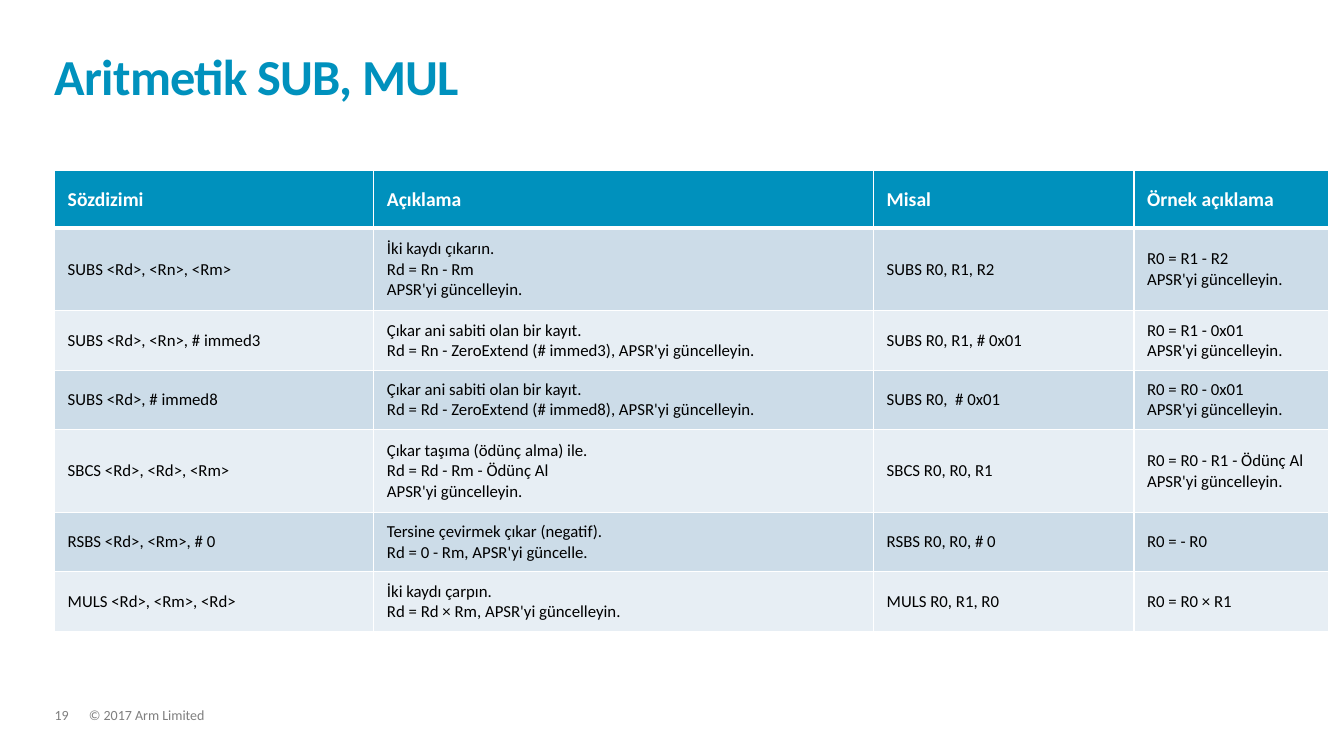
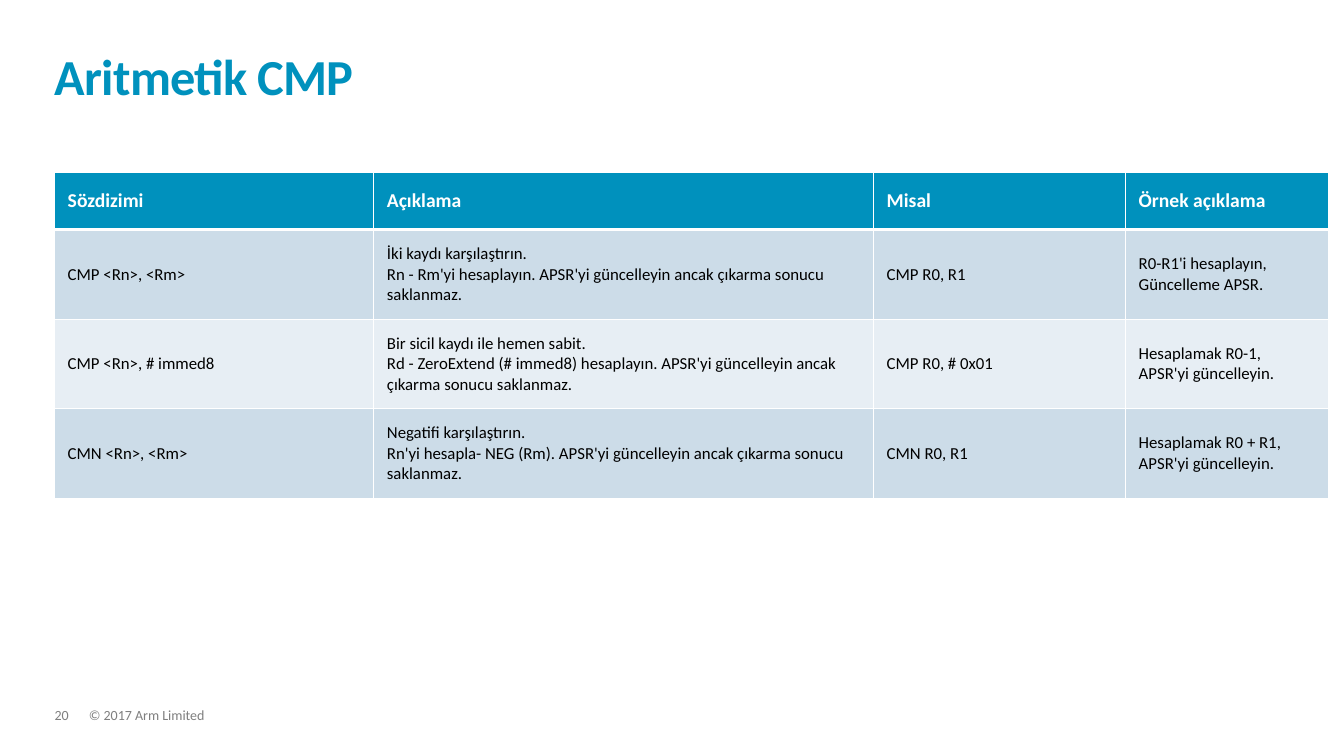
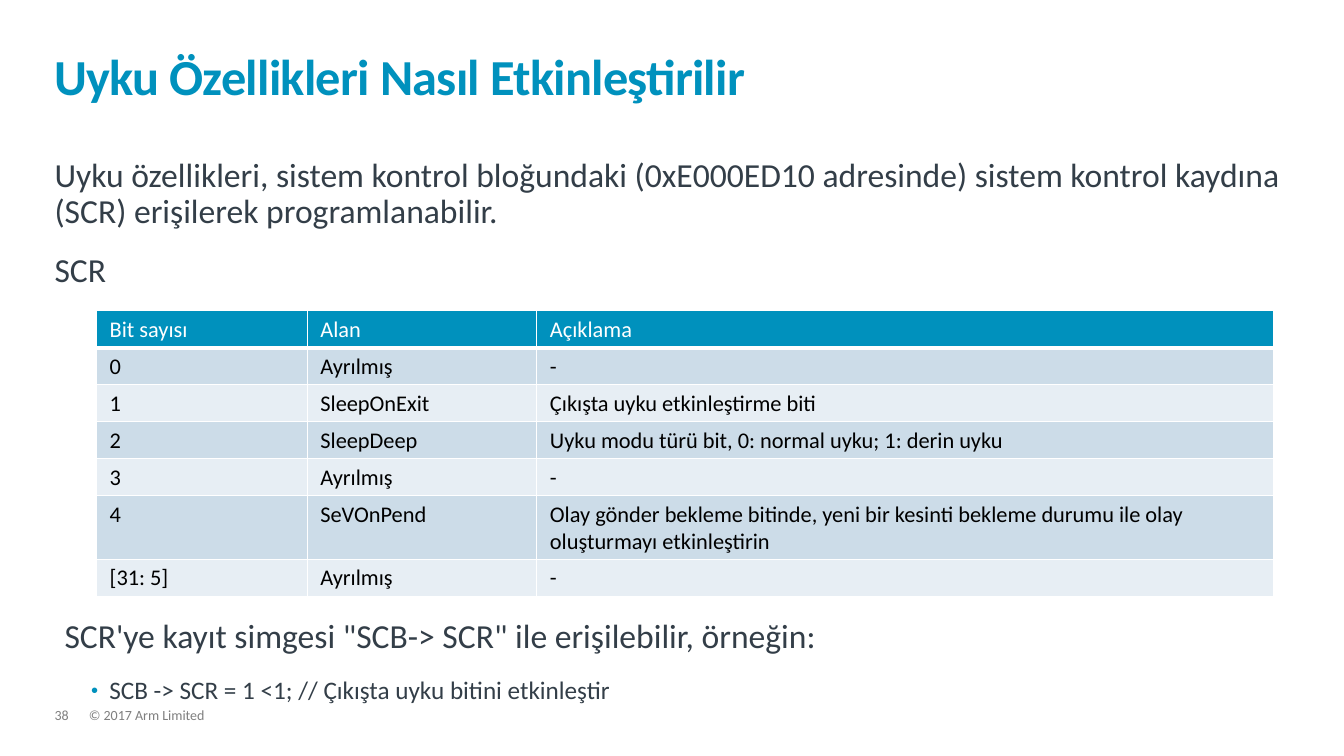
from lxml.etree import SubElement
from pptx import Presentation
from pptx.dml.color import RGBColor
from pptx.enum.text import MSO_ANCHOR
from pptx.oxml import parse_xml
from pptx.oxml.ns import nsdecls, qn
from pptx.util import Pt

# Shared look
COLORS = {"accent": "0091BD", "band": "CCDCE8", "light": "E7EEF4",
          "white": "FFFFFF", "black": "000000", "body": "333E48", "footer": "7F7F7F"}
LEFT, WIDTH = 39, 880.5
TITLE = {"size": 36, "bold": True, "color": "accent"}
BODY = {"size": 24, "color": "body"}
SUB = {"size": 18, "color": "body"}
FOOTER = {"size": 10, "color": "footer"}
SYNTAX_STYLE = {"head": {"size": 14, "bold": True, "color": "white"},
                "cell": {"size": 12, "bold": False, "color": "black"},
                "anchor": MSO_ANCHOR.MIDDLE}
FIELD_STYLE = {"head": {"size": 16, "bold": False, "color": "white"},
               "cell": {"size": 16, "bold": False, "color": "black"},
               "anchor": MSO_ANCHOR.TOP}
SYNTAX_HEAD = ["Sözdizimi", "Açıklama", "Misal", "Örnek açıklama"]

# Table contents: a line break starts a new paragraph
SUB_MUL = [
    SYNTAX_HEAD,
    ["SUBS <Rd>, <Rn>, <Rm>",
     "İki kaydı çıkarın.\nRd = Rn - Rm\nAPSR'yi güncelleyin.",
     "SUBS R0, R1, R2", "R0 = R1 - R2\nAPSR'yi güncelleyin."],
    ["SUBS <Rd>, <Rn>, # immed3",
     "Çıkar ani sabiti olan bir kayıt.\n"
     "Rd = Rn - ZeroExtend (# immed3), APSR'yi güncelleyin.",
     "SUBS R0, R1, # 0x01", "R0 = R1 - 0x01\nAPSR'yi güncelleyin."],
    ["SUBS <Rd>, # immed8",
     "Çıkar ani sabiti olan bir kayıt.\n"
     "Rd = Rd - ZeroExtend (# immed8), APSR'yi güncelleyin.",
     "SUBS R0,  # 0x01", "R0 = R0 - 0x01\nAPSR'yi güncelleyin."],
    ["SBCS <Rd>, <Rd>, <Rm>",
     "Çıkar taşıma (ödünç alma) ile.\nRd = Rd - Rm - Ödünç Al\nAPSR'yi güncelleyin.",
     "SBCS R0, R0, R1", "R0 = R0 - R1 - Ödünç Al\nAPSR'yi güncelleyin."],
    ["RSBS <Rd>, <Rm>, # 0",
     "Tersine çevirmek çıkar (negatif).\nRd = 0 - Rm, APSR'yi güncelle.",
     "RSBS R0, R0, # 0", "R0 = - R0"],
    ["MULS <Rd>, <Rm>, <Rd>",
     "İki kaydı çarpın.\nRd = Rd × Rm, APSR'yi güncelleyin.",
     "MULS R0, R1, R0", "R0 = R0 × R1"],
]
CMP = [
    SYNTAX_HEAD,
    ["CMP <Rn>, <Rm>",
     "İki kaydı karşılaştırın.\n"
     "Rn - Rm'yi hesaplayın. APSR'yi güncelleyin ancak çıkarma sonucu saklanmaz.",
     "CMP R0, R1", "R0-R1'i hesaplayın,\nGüncelleme APSR."],
    ["CMP <Rn>, # immed8",
     "Bir sicil kaydı ile hemen sabit.\nRd - ZeroExtend (# immed8) hesaplayın. "
     "APSR'yi güncelleyin ancak çıkarma sonucu saklanmaz.",
     "CMP R0, # 0x01", "Hesaplamak R0-1,\nAPSR'yi güncelleyin."],
    ["CMN <Rn>, <Rm>",
     "Negatifi karşılaştırın.\n"
     "Rn'yi hesapla- NEG (Rm). APSR'yi güncelleyin ancak çıkarma sonucu saklanmaz.",
     "CMN R0, R1", "Hesaplamak R0 + R1,\nAPSR'yi güncelleyin."],
]
SCR_FIELDS = [
    ["Bit sayısı", "Alan", "Açıklama"],
    ["0", "Ayrılmış", "-"],
    ["1", "SleepOnExit", "Çıkışta uyku etkinleştirme biti"],
    ["2", "SleepDeep", "Uyku modu türü bit, 0: normal uyku; 1: derin uyku"],
    ["3", "Ayrılmış", "-"],
    ["4", "SeVOnPend", "Olay gönder bekleme bitinde, yeni bir kesinti bekleme durumu "
     "ile olay oluşturmayı etkinleştirin"],
    ["[31: 5]", "Ayrılmış", "-"],
]


def rgb(name):
    return RGBColor.from_string(COLORS[name])


def write(p, text, fmt, **spacing):
    """Put one run into a paragraph with its font and spacing."""
    for name, value in spacing.items():
        setattr(p, name, value)
    r = p.add_run()
    r.text = text
    font = {**fmt, "name": "Calibri", "size": Pt(fmt["size"])}
    r.font.color.rgb = rgb(font.pop("color"))
    for name, value in font.items():
        setattr(r.font, name, value)
    return r


def add_box(s, x, y, w, h, inset=(0, 0), anchor=MSO_ANCHOR.TOP):
    tf = s.shapes.add_textbox(Pt(x), Pt(y), Pt(w), Pt(h)).text_frame
    tf.word_wrap, tf.vertical_anchor = True, anchor
    tf.margin_left = tf.margin_right = Pt(inset[0])
    tf.margin_top = tf.margin_bottom = Pt(inset[1])
    return tf


def add_bullet(p, left, hanging):
    pPr = p._p.get_or_add_pPr()
    for name, value in {"lvl": 1, "marL": Pt(left), "indent": -Pt(hanging)}.items():
        pPr.set(name, str(value))
    SubElement(SubElement(pPr, qn("a:buClr")), qn("a:srgbClr"), val=COLORS["accent"])
    SubElement(pPr, qn("a:buSzPct"), val="80000")
    SubElement(pPr, qn("a:buFont"), typeface="Arial")
    SubElement(pPr, qn("a:buChar"), char="•")


def set_borders(cell, top, bottom):
    widths = {"lnL": 1, "lnR": 1, "lnT": top, "lnB": bottom}
    tcPr = cell._tc.get_or_add_tcPr()
    for i, (side, width) in enumerate(widths.items()):
        tcPr.insert(i, parse_xml(
            f'<a:{side} {nsdecls("a")} w="{Pt(width)}"><a:solidFill>'
            f'<a:srgbClr val="{COLORS["white"]}"/></a:solidFill></a:{side}>'))


def add_grid(s, x, y, widths, heights, data, style):
    """Table with a header row, banded rows and white rules."""
    table = s.shapes.add_table(len(heights), len(widths), Pt(x), Pt(y),
                               Pt(sum(widths)), Pt(sum(heights))).table
    table.horz_banding = False
    for col, width in zip(table.columns, widths):
        col.width = Pt(width)
    for i, (row, height) in enumerate(zip(table.rows, heights)):
        row.height = Pt(height)
        fill = "accent" if i == 0 else "band" if i % 2 else "light"
        for cell, text in zip(row.cells, data[i]):
            cell.fill.solid()
            cell.fill.fore_color.rgb = rgb(fill)
            cell.vertical_anchor = style["anchor"]
            cell.margin_left = cell.margin_right = Pt(9.4)
            cell.margin_top = cell.margin_bottom = Pt(3.6)
            set_borders(cell, top=3 if i == 1 else 1, bottom=3 if i == 0 else 1)
            tf = cell.text_frame
            for j, line in enumerate(text.split("\n")):
                p = tf.add_paragraph() if j else tf.paragraphs[0]
                write(p, line, style["cell" if i else "head"])


def add_slide(prs, number, title):
    """Blank slide with the shared title and footer."""
    s = prs.slides.add_slide(prs.slide_layouts[6])
    for x, w, text in ((63.5, 657, "© 2017 Arm Limited"), (LEFT, 24.5, str(number))):
        tf = add_box(s, x, 506, w, 11)
        write(tf.paragraphs[0], text, FOOTER, line_spacing=0.9)
    tf = add_box(s, LEFT, 23, WIDTH, 52.5, anchor=MSO_ANCHOR.BOTTOM)
    r = write(tf.paragraphs[0], title, TITLE, line_spacing=0.85)
    r._r.get_or_add_rPr().set("spc", "-50")
    return s


def main():
    prs = Presentation()
    prs.slide_width, prs.slide_height = Pt(960), Pt(540)

    # Subtract and multiply
    s = add_slide(prs, 19, "Aritmetik SUB, MUL")
    add_grid(s, LEFT, 122, [228, 357, 186, 139],
             [41, 59, 42.5, 42.5, 59, 42.5, 42.5], SUB_MUL, SYNTAX_STYLE)

    # Compare
    s = add_slide(prs, 20, "Aritmetik CMP")
    add_grid(s, LEFT, 123, [228, 357, 180, 145], [41] + [64] * 3, CMP, SYNTAX_STYLE)

    # Sleep features
    s = add_slide(prs, 38, "Uyku Özellikleri Nasıl Etkinleştirilir")
    tf = add_box(s, LEFT, 113, WIDTH, 79)
    write(tf.paragraphs[0], "Uyku özellikleri, sistem kontrol bloğundaki (0xE000ED10 "
          "adresinde) sistem kontrol kaydına (SCR) erişilerek programlanabilir.",
          BODY, line_spacing=0.9, space_after=Pt(16))
    write(tf.add_paragraph(), "SCR", BODY, line_spacing=0.9)
    add_grid(s, 69, 222, [150.5, 164, 526], [24.5] * 5 + [38, 24.5],
             SCR_FIELDS, FIELD_STYLE)
    tf = add_box(s, LEFT, 439, 870.5, 69, inset=(7.2, 3.6))
    write(tf.paragraphs[0], "SCR'ye kayıt simgesi \"SCB-> SCR\" ile erişilebilir, örneğin:",
          BODY, line_spacing=0.9, space_after=Pt(16))
    p = tf.add_paragraph()
    add_bullet(p, 32, 13)
    write(p, "SCB -> SCR = 1 <1; // Çıkışta uyku bitini etkinleştir", SUB, line_spacing=0.9)

    prs.save("out.pptx")


if __name__ == "__main__":
    main()
